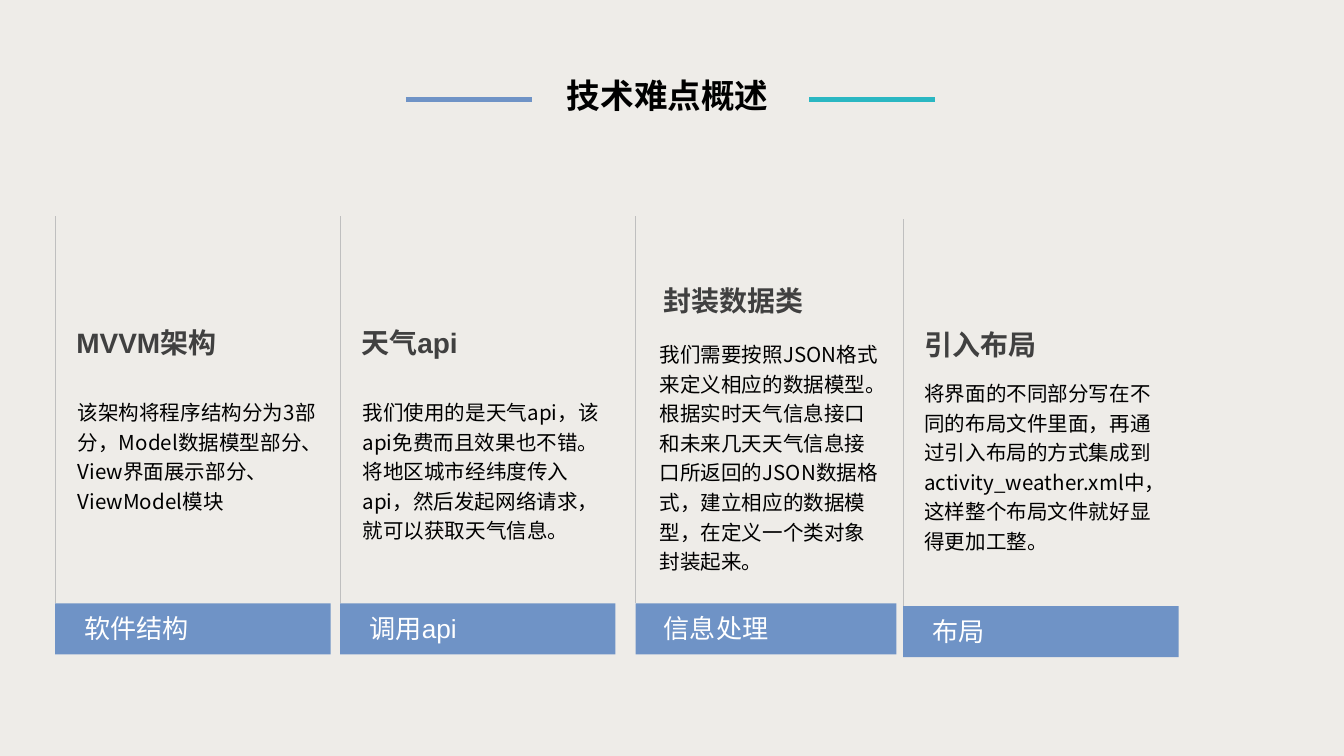
from pptx import Presentation
from pptx.dml.color import RGBColor
from pptx.enum.shapes import MSO_CONNECTOR as Connector, MSO_SHAPE as Shape
from pptx.enum.text import MSO_AUTO_SIZE as AutoSize
from pptx.oxml.ns import qn
from pptx.util import Inches, Pt
from lxml.etree import SubElement

PAPER = RGBColor(0xEE, 0xEC, 0xE8)
BLUE = RGBColor(0x6F, 0x93, 0xC6)
TEAL = RGBColor(0x2A, 0xB7, 0xC2)
RULE_GRAY = RGBColor(0xBF, 0xBF, 0xBF)
HEADING_GRAY = RGBColor(0x40, 0x40, 0x40)
BLACK = RGBColor(0, 0, 0)
WHITE = RGBColor(0xFF, 0xFF, 0xFF)
LATIN, HAN = "Arial", "Noto Sans CJK SC"

RULE_HEIGHT, BAR_HEIGHT = 2.88, 0.38


def add_text(page, text, left, top, width, height, *, size, font=LATIN,
             color=BLACK, bold=False, spacing=None):
    box = page.shapes.add_textbox(*map(Inches, (left, top, width, height)))
    frame = box.text_frame
    frame.word_wrap = True
    frame.auto_size = AutoSize.SHAPE_TO_FIT_TEXT
    para = frame.paragraphs[0]
    if spacing:
        para.line_spacing = spacing
    span = para.add_run()
    span.text = text
    span.font.size = Pt(size)
    span.font.bold = bold
    span.font.color.rgb = color
    span.font.name = font
    SubElement(span.font._element, qn("a:ea"), typeface=HAN)


def add_rule(page, start, end, color, weight):
    rule = page.shapes.add_connector(Connector.STRAIGHT, *map(Inches, start + end))
    rule.line.color.rgb = color
    rule.line.width = Pt(weight)
    SubElement(rule._element.spPr, qn("a:effectLst"))


def add_title(page, left, top, width, height):
    """Centre the title between two coloured dashes."""
    dash, middle = 0.94, top + 0.23
    right = left + width
    add_text(page, "技术难点概述", left + 1.1, top, 1.74, height,
             size=18, font=HAN, bold=True)
    add_rule(page, (left, middle), (left + dash, middle), BLUE, 2.5)
    add_rule(page, (right - dash, middle), (right, middle), TEAL, 2.5)


def add_column(page, left, top, width, *, label, heading, body, body_height,
               heading_at=(0.06, 0.76), body_at=(0.07, 1.28), label_indent=0.12):
    """Stack heading and body beside a thin rule, above a labelled bar."""
    bar_top = top + RULE_HEIGHT
    text_width = width - 0.08

    # Rule and bar
    add_rule(page, (left, top), (left, bar_top), RULE_GRAY, 0.5)
    bar = page.shapes.add_shape(
        Shape.RECTANGLE, *map(Inches, (left, bar_top, width, BAR_HEIGHT)))
    bar.shadow.inherit = False
    bar.fill.solid()
    bar.fill.fore_color.rgb = BLUE
    bar.line.fill.background()

    # Texts
    add_text(page, heading, left + heading_at[0], top + heading_at[1],
             text_width, 0.35, size=15, color=HEADING_GRAY, bold=True)
    add_text(page, body, left + body_at[0], top + body_at[1],
             text_width, body_height, size=11, font=HAN, spacing=1.2)
    add_text(page, label, left + label_indent, bar_top + 0.02,
             text_width, 0.34, size=14, color=WHITE)


def main():
    deck = Presentation()
    deck.slide_width = Inches(10)
    deck.slide_height = deck.slide_width * 9 // 16
    page = deck.slides.add_slide(deck.slide_layouts[6])
    page.background.fill.solid()
    page.background.fill.fore_color.rgb = PAPER

    add_title(page, 3.02, 0.51, 3.94, 0.4)

    add_column(page, 0.41, 1.61, 2.05, label="软件结构", heading="MVVM架构",
               body="该架构将程序结构分为3部分，Model数据模型部分、"
                    "View界面展示部分、ViewModel模块",
               body_height=0.98)
    add_column(page, 2.53, 1.61, 2.05, label="调用api", heading="天气api",
               body="我们使用的是天气api，该api免费而且效果也不错。"
                    "将地区城市经纬度传入api，然后发起网络请求，"
                    "就可以获取天气信息。",
               body_height=1.2)
    add_column(page, 4.73, 1.61, 1.94, label="信息处理", heading="封装数据类",
               body="我们需要按照JSON格式来定义相应的数据模型。"
                    "根据实时天气信息接口和未来几天天气信息接口所返回的"
                    "JSON数据格式，建立相应的数据模型，"
                    "在定义一个类对象封装起来。",
               body_height=1.86, heading_at=(0.11, 0.45), body_at=(0.08, 0.85),
               label_indent=0.11)
    add_column(page, 6.72, 1.63, 2.05, label="布局", heading="引入布局",
               body="将界面的不同部分写在不同的布局文件里面，"
                    "再通过引入布局的方式集成到activity_weather.xml中，"
                    "这样整个布局文件就好显得更加工整。",
               body_height=1.42, body_at=(0.06, 1.12))

    deck.save("out.pptx")


if __name__ == "__main__":
    main()
